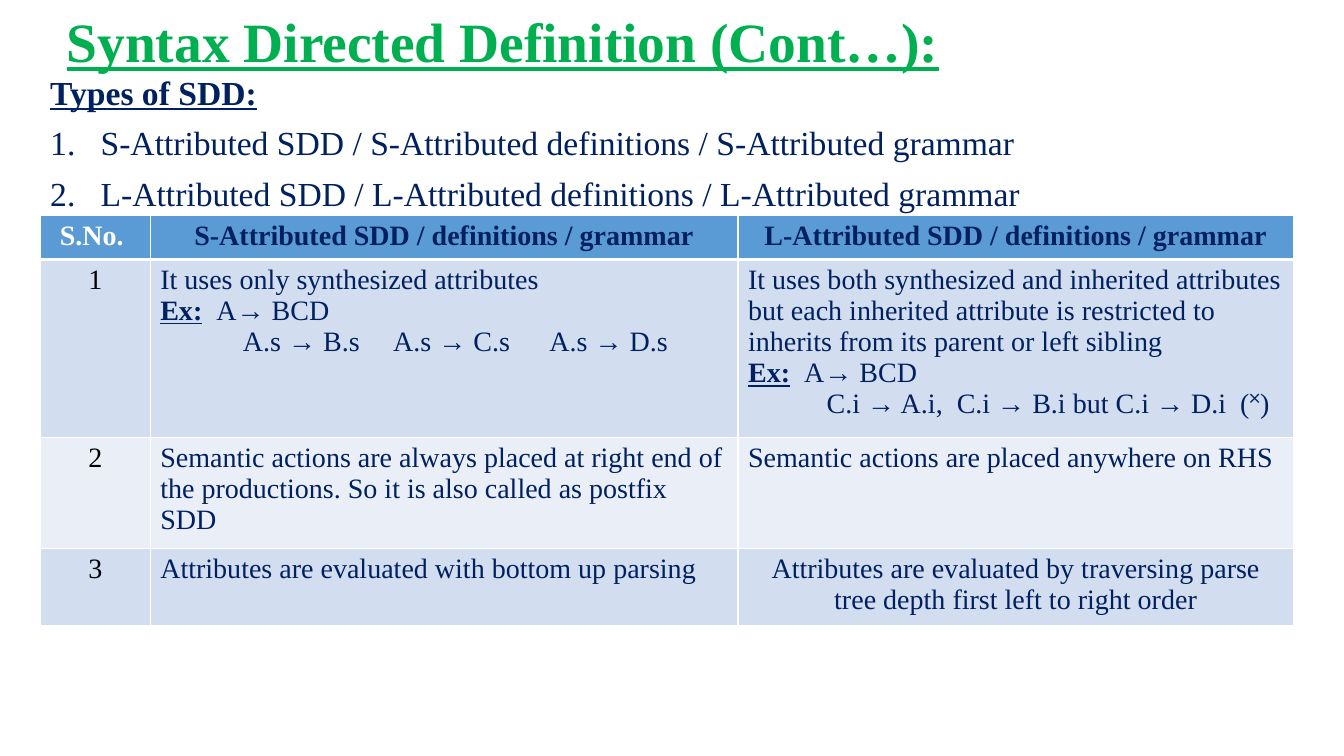
from lxml.etree import SubElement
from pptx import Presentation
from pptx.dml.color import RGBColor
from pptx.enum.text import MSO_ANCHOR, MSO_AUTO_SIZE, PP_ALIGN
from pptx.oxml.ns import qn
from pptx.util import Inches, Pt

FONT = "Times New Roman"
COLORS = {
    "title": "00B050", "navy": "002060", "black": "000000", "white": "FFFFFF",
    "header": "5B9BD5", "odd": "D2DEEF", "even": "EAEFF7",
}
HEADING = {"bold": True, "underline": True}
SDD_TYPES = [
    "S-Attributed SDD / S-Attributed definitions / S-Attributed grammar",
    "L-Attributed SDD / L-Attributed definitions / L-Attributed grammar",
]
EXAMPLE = [("Ex:", HEADING), ("  ", {"bold": True}), ("A→ BCD", {})]
# Each cell is a list of paragraphs; each paragraph is a list of (text, format) runs.
HEADERS = ["S.No. ", "S-Attributed SDD / definitions / grammar",
           "L-Attributed SDD / definitions / grammar"]
COMPARISON = [
    [[[(header, {"bold": True})]] for header in HEADERS],
    [
        [[("1", {})]],
        [[("It uses only synthesized attributes", {})], EXAMPLE,
         [("\tA.s → B.s\tA.s → C.s\tA.s → D.s", {})]],
        [[("It uses both synthesized and inherited attributes but each inherited "
           "attribute is restricted to inherits from its parent or left sibling", {})],
         EXAMPLE,
         [("\tC.i → A.i,  C.i → B.i but C.i → D.i  (˟)", {})]],
    ],
    [
        [[("2", {})]],
        [[("Semantic actions are always placed at right end of the productions. "
           "So it is also called as postfix SDD", {})]],
        [[("Semantic actions are placed anywhere on RHS", {})]],
    ],
    [
        [[("3", {})]],
        [[("Attributes are evaluated with bottom up parsing", {})]],
        [[("Attributes are evaluated by traversing parse tree depth first "
           "left to right order", {})]],
    ],
]
COLUMN_WIDTHS = [1.09, 5.83, 5.51]
ROW_HEIGHTS = [0.41, 1.63, 1.03, 0.72]
TAB_STOPS = {1: [0.82, 2.31, 3.86], 2: [0.78]}
CENTERED_CELLS = {(3, 2)}


def place(shape, left, top, width, height):
    box = {"left": left, "top": top, "width": width, "height": height}
    for name, value in box.items():
        setattr(shape, name, Inches(value))


def add_run(paragraph, text, size, color, **formats):
    run = paragraph.add_run()
    run.text = text
    values = {"name": FONT, "size": Pt(size), "bold": False, "underline": False}
    for name, value in (values | formats).items():
        setattr(run.font, name, value)
    run.font.color.rgb = RGBColor.from_string(COLORS[color])


def add_title(slide, text):
    title = slide.shapes.title
    place(title, 0.56, 0.16, 11.85, 0.57)
    frame = title.text_frame
    frame.auto_size = MSO_AUTO_SIZE.NONE
    frame.vertical_anchor = MSO_ANCHOR.MIDDLE
    paragraph = frame.paragraphs[0]
    paragraph.alignment = PP_ALIGN.LEFT
    paragraph.line_spacing = 0.9
    add_run(paragraph, text, 39.6, "title", **HEADING)


def number_paragraph(paragraph):
    properties = paragraph._p.get_or_add_pPr()
    properties.set("marL", str(Inches(0.5)))
    properties.set("indent", str(Inches(-0.5)))
    SubElement(properties, qn("a:buFont"), typeface="+mj-lt")
    SubElement(properties, qn("a:buAutoNum"), type="arabicPeriod")


def add_type_list(slide, heading, items):
    box = slide.shapes.add_textbox(Inches(0.4), Inches(0.71), Inches(12.43), Inches(1.43))
    frame = box.text_frame
    frame.word_wrap = True
    for index, text in enumerate([heading, *items]):
        paragraph = frame.add_paragraph() if index else frame.paragraphs[0]
        paragraph.alignment = PP_ALIGN.JUSTIFY
        paragraph.line_spacing = 0.9
        if index:
            paragraph.space_before = Pt(10)
            number_paragraph(paragraph)
        add_run(paragraph, text, 24, "navy", **({} if index else HEADING))


def set_borders(cell, bottom_width):
    properties = cell._tc.get_or_add_tcPr()
    for side, width in {"L": 1, "R": 1, "T": 1, "B": bottom_width}.items():
        line = SubElement(properties, qn(f"a:ln{side}"), w=str(Pt(width)))
        fill = SubElement(line, qn("a:solidFill"))
        SubElement(fill, qn("a:srgbClr"), val=COLORS["white"])


def set_tab_stops(paragraph, positions):
    tabs = SubElement(paragraph._p.get_or_add_pPr(), qn("a:tabLst"))
    for position in positions:
        SubElement(tabs, qn("a:tab"), pos=str(Inches(position)), algn="l")


def fill_cell(cell, paragraphs, row, column):
    is_header = row == 0
    set_borders(cell, 3 if is_header else 1)
    cell.fill.solid()
    fill = "header" if is_header else ("even", "odd")[row % 2]
    cell.fill.fore_color.rgb = RGBColor.from_string(COLORS[fill])
    color = "navy" if column else ("white" if is_header else "black")
    centered = is_header or column == 0 or (row, column) in CENTERED_CELLS
    frame = cell.text_frame
    for index, runs in enumerate(paragraphs):
        paragraph = frame.add_paragraph() if index else frame.paragraphs[0]
        paragraph.alignment = PP_ALIGN.CENTER if centered else PP_ALIGN.LEFT
        if runs[0][0].startswith("\t"):
            set_tab_stops(paragraph, TAB_STOPS[column])
        for text, formats in runs:
            add_run(paragraph, text, 20, color, **formats)


def add_comparison_table(slide, rows):
    frame = slide.shapes.add_table(
        len(rows), len(COLUMN_WIDTHS), Inches(0.4), Inches(2.14),
        Inches(sum(COLUMN_WIDTHS)), Inches(sum(ROW_HEIGHTS)))
    table = frame.table
    for column, width in zip(table.columns, COLUMN_WIDTHS):
        column.width = Inches(width)
    for row, height in zip(table.rows, ROW_HEIGHTS):
        row.height = Inches(height)
    for row, cells in enumerate(rows):
        for column, paragraphs in enumerate(cells):
            fill_cell(table.cell(row, column), paragraphs, row, column)


def main():
    presentation = Presentation()
    presentation.slide_width = Inches(13.33)
    presentation.slide_height = Inches(7.5)
    slide = presentation.slides.add_slide(presentation.slide_layouts[5])
    add_title(slide, "Syntax Directed Definition (Cont…):")
    add_type_list(slide, "Types of SDD:", SDD_TYPES)
    add_comparison_table(slide, COMPARISON)
    presentation.save("out.pptx")


if __name__ == "__main__":
    main()
